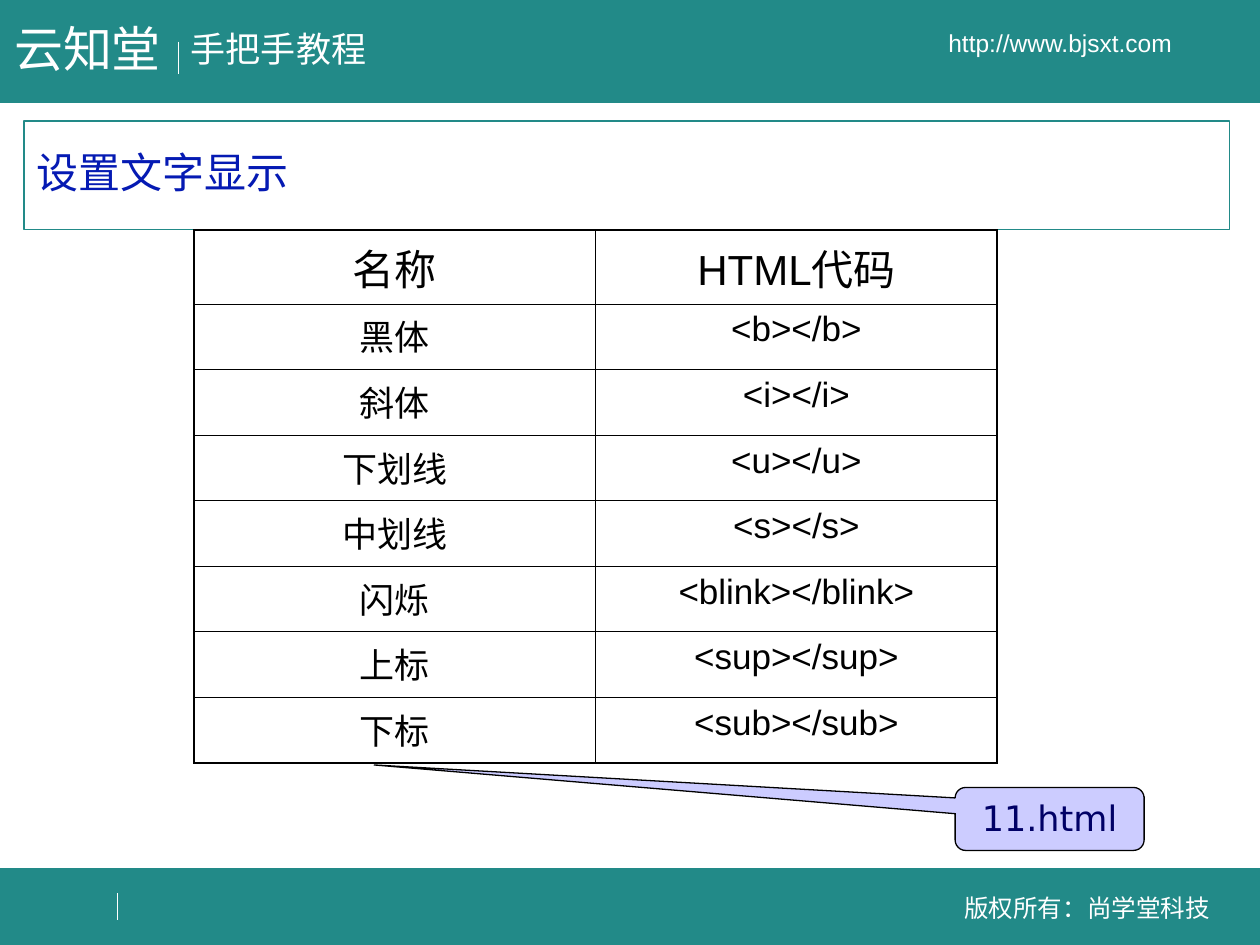
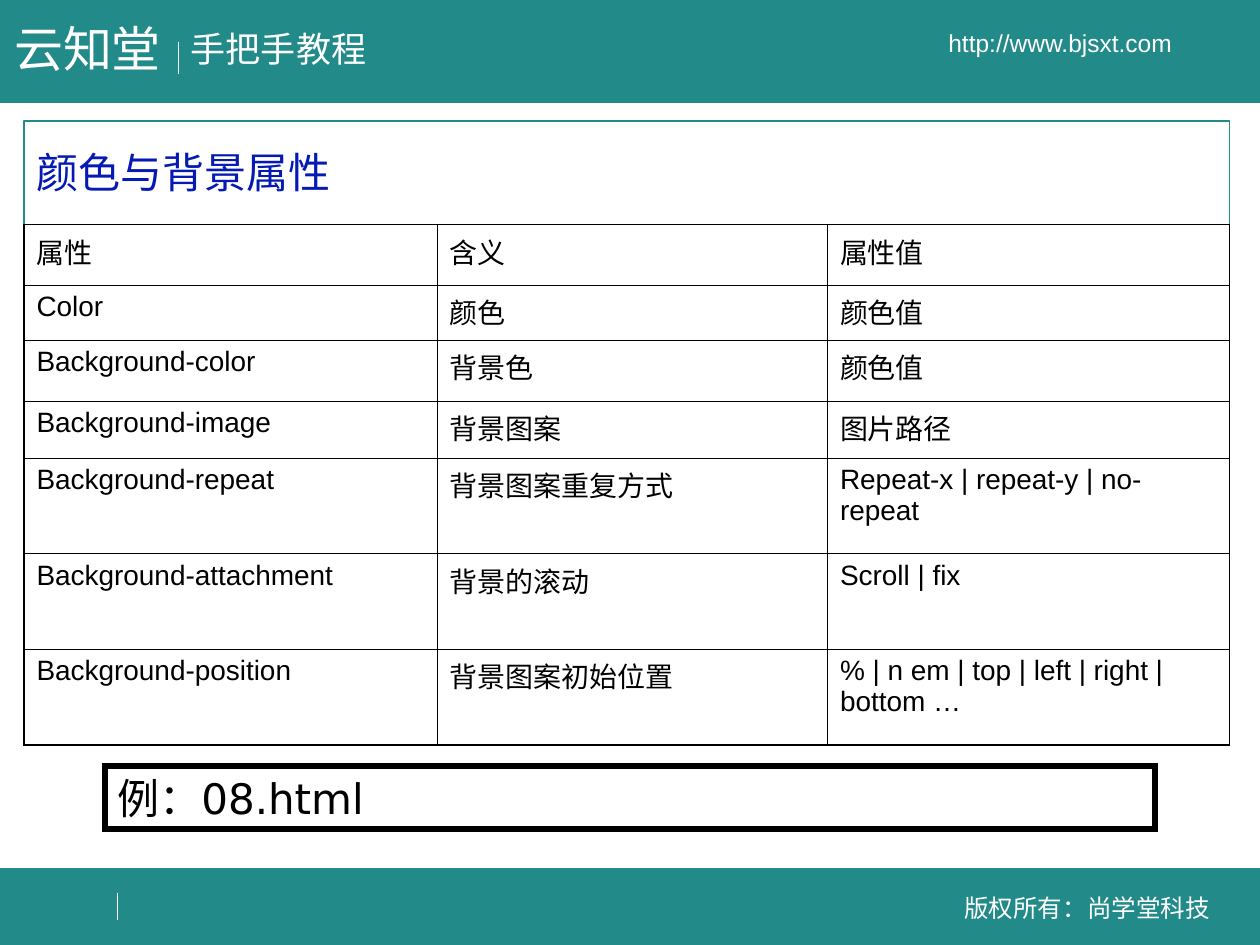
from lxml.etree import SubElement
from pptx import Presentation
from pptx.dml.color import RGBColor
from pptx.enum.shapes import MSO_CONNECTOR, MSO_SHAPE
from pptx.enum.text import MSO_ANCHOR, MSO_AUTO_SIZE, PP_ALIGN
from pptx.oxml.ns import qn
from pptx.util import Pt

TEAL = RGBColor(0x22, 0x8A, 0x88)
TITLE_BLUE = RGBColor(0x05, 0x1A, 0xB3)
LAVENDER = RGBColor(0xCC, 0xCC, 0xFF)
NAVY = RGBColor(0x00, 0x00, 0x66)
WHITE = RGBColor(0xFF, 0xFF, 0xFF)
BLACK = RGBColor(0x00, 0x00, 0x00)

BODY_FONT = "Arial"
NOTE_FONT = "DejaVu Sans"
OUTER_BORDER = 1.08
INNER_BORDER = 0.45

BANDS = [(0, 496.1, 720, 43.9), (0, 0, 720, 58.5)]
DIVIDERS = [(102.2, 23.8, 42.5), (67, 510.5, 525.6)]
TITLE_BOX = (13.7, 69.1, 689, 61.9)
FRAME_TEXTS = [
    ("手把手教程", (102, 12.2, 120, 31.7), 20, False),
    ("版权所有：尚学堂科技", (537.8, 506.2, 167, 24.5), 14, True),
    ("http://www.bjsxt.com", (491.8, 12.2, 228.2, 24.5), 14, True),
    ("云知堂", (1, 7.2, 101, 41), 28, False),
]

TEXT_DISPLAY = {
    "title": "设置文字显示",
    "rows": [
        ("名称", "HTML代码"),
        ("黑体", "<b></b>"),
        ("斜体", "<i></i>"),
        ("下划线", "<u></u>"),
        ("中划线", "<s></s>"),
        ("闪烁", "<blink></blink>"),
        ("上标", "<sup></sup>"),
        ("下标", "<sub></sub>"),
    ],
    "corner": (110.9, 131.5),
    "widths": [229.5] * 2,
    "heights": [42.2] + [37.5] * 7,
    "sizes": [24] + [20] * 7,
    "alignment": PP_ALIGN.CENTER,
    "fill": None,
}
COLOR_BACKGROUND = {
    "title": "颜色与背景属性",
    "rows": [
        ("属性", "含义", "属性值"),
        ("Color", "颜色", "颜色值"),
        ("Background-color", "背景色", "颜色值"),
        ("Background-image", "背景图案", "图片路径"),
        ("Background-repeat", "背景图案重复方式", "Repeat-x | repeat-y | no-repeat"),
        ("Background-attachment", "背景的滚动", "Scroll | fix"),
        ("Background-position", "背景图案初始位置", "% | n em | top | left | right | bottom …"),
    ],
    "corner": (13.7, 128.2),
    "widths": [236.2, 223, 229.8],
    "heights": [34.7, 31.6, 34.8, 32.6] + [54.6] * 3,
    "sizes": [16] * 7,
    "alignment": PP_ALIGN.LEFT,
    "fill": WHITE,
}
CALLOUT = ("11.html", (545.8, 450, 108, 36), (-3.576, -0.858, 0.167))
EXAMPLE = ("例：08.html", (60, 437.8, 600, 36))


def points(values):
    return [Pt(value) for value in values]


def write(text_frame, text, size, color, font=BODY_FONT, alignment=PP_ALIGN.LEFT):
    text_frame.text = text
    paragraph = text_frame.paragraphs[0]
    paragraph.alignment = alignment
    run_font = paragraph.runs[0].font
    run_font.name = font
    run_font.size = Pt(size)
    run_font.color.rgb = color
    return paragraph


def add_box(slide, kind, box, fill, line, line_width):
    shape = slide.shapes.add_shape(kind, *points(box))
    shape.shadow.inherit = False
    shape.fill.solid()
    shape.fill.fore_color.rgb = fill
    shape.line.color.rgb = line
    shape.line.width = Pt(line_width)
    SubElement(shape.element.spPr.find(qn("a:ln")), qn("a:miter"), lim="800000")
    shape.text_frame.vertical_anchor = MSO_ANCHOR.TOP
    return shape


def add_frame(slide):
    for band in BANDS:
        add_box(slide, MSO_SHAPE.RECTANGLE, band, TEAL, TEAL, 0.25)
    for x, top, bottom in DIVIDERS:
        divider = slide.shapes.add_connector(MSO_CONNECTOR.STRAIGHT, *points((x, top, x, bottom)))
        divider.line.color.rgb = WHITE
        divider.line.width = Pt(0.75)
        SubElement(divider.element.spPr, qn("a:effectLst"))
    for text, box, size, centred in FRAME_TEXTS:
        text_frame = slide.shapes.add_textbox(*points(box)).text_frame
        text_frame.word_wrap = True
        text_frame.auto_size = MSO_AUTO_SIZE.SHAPE_TO_FIT_TEXT
        text_frame.vertical_anchor = MSO_ANCHOR.MIDDLE if centred else MSO_ANCHOR.TOP
        write(text_frame, text, size, WHITE,
              alignment=PP_ALIGN.CENTER if centred else PP_ALIGN.LEFT)


def add_title(slide, text):
    title = slide.shapes.title
    title.left, title.top, title.width, title.height = points(TITLE_BOX)
    title.line.color.rgb = TEAL
    title.line.width = Pt(0.75)
    title.text_frame.auto_size = MSO_AUTO_SIZE.NONE
    title.text_frame.vertical_anchor = MSO_ANCHOR.MIDDLE
    write(title.text_frame, text, 24, TITLE_BLUE).line_spacing = 0.9


def set_borders(cell, outer_sides):
    properties = cell._tc.get_or_add_tcPr()
    for side, is_outer in outer_sides.items():
        width = OUTER_BORDER if is_outer else INNER_BORDER
        line = SubElement(properties, qn("a:ln" + side), w=str(Pt(width)))
        SubElement(SubElement(line, qn("a:solidFill")), qn("a:srgbClr"), val=str(BLACK))


def add_table(slide, content):
    rows, widths, heights = content["rows"], content["widths"], content["heights"]
    box = (*content["corner"], sum(widths), sum(heights))
    table = slide.shapes.add_table(len(rows), len(widths), *points(box)).table
    table.first_row = table.horz_banding = False
    for column, width in zip(table.columns, widths):
        column.width = Pt(width)
    for row, height in zip(table.rows, heights):
        row.height = Pt(height)
    for i, (texts, size) in enumerate(zip(rows, content["sizes"])):
        for j, text in enumerate(texts):
            cell = table.cell(i, j)
            paragraph = write(cell.text_frame, text, size, BLACK, alignment=content["alignment"])
            paragraph.space_after = Pt(size // 4)
            set_borders(cell, {"L": j == 0, "R": j == len(widths) - 1,
                               "T": i == 0, "B": i == len(rows) - 1})
            if content["fill"] is None:
                cell.fill.background()
            else:
                cell.fill.solid()
                cell.fill.fore_color.rgb = content["fill"]


def add_topic_slide(presentation, content):
    slide = presentation.slides.add_slide(presentation.slide_layouts[5])
    add_frame(slide)
    add_title(slide, content["title"])
    add_table(slide, content)
    return slide


def add_callout(slide):
    text, box, adjustments = CALLOUT
    callout = add_box(slide, MSO_SHAPE.ROUNDED_RECTANGULAR_CALLOUT, box, LAVENDER, BLACK, 0.75)
    for index, value in enumerate(adjustments):
        callout.adjustments[index] = value
    write(callout.text_frame, text, 20, NAVY, NOTE_FONT, PP_ALIGN.CENTER)


def add_example(slide):
    text, box = EXAMPLE
    example = add_box(slide, MSO_SHAPE.RECTANGLE, box, WHITE, BLACK, 3)
    example.text_frame.auto_size = MSO_AUTO_SIZE.SHAPE_TO_FIT_TEXT
    write(example.text_frame, text, 24, BLACK, NOTE_FONT)


def main():
    presentation = Presentation()
    presentation.slide_width, presentation.slide_height = Pt(720), Pt(540)
    add_callout(add_topic_slide(presentation, TEXT_DISPLAY))
    add_example(add_topic_slide(presentation, COLOR_BACKGROUND))
    presentation.save("out.pptx")


if __name__ == "__main__":
    main()
